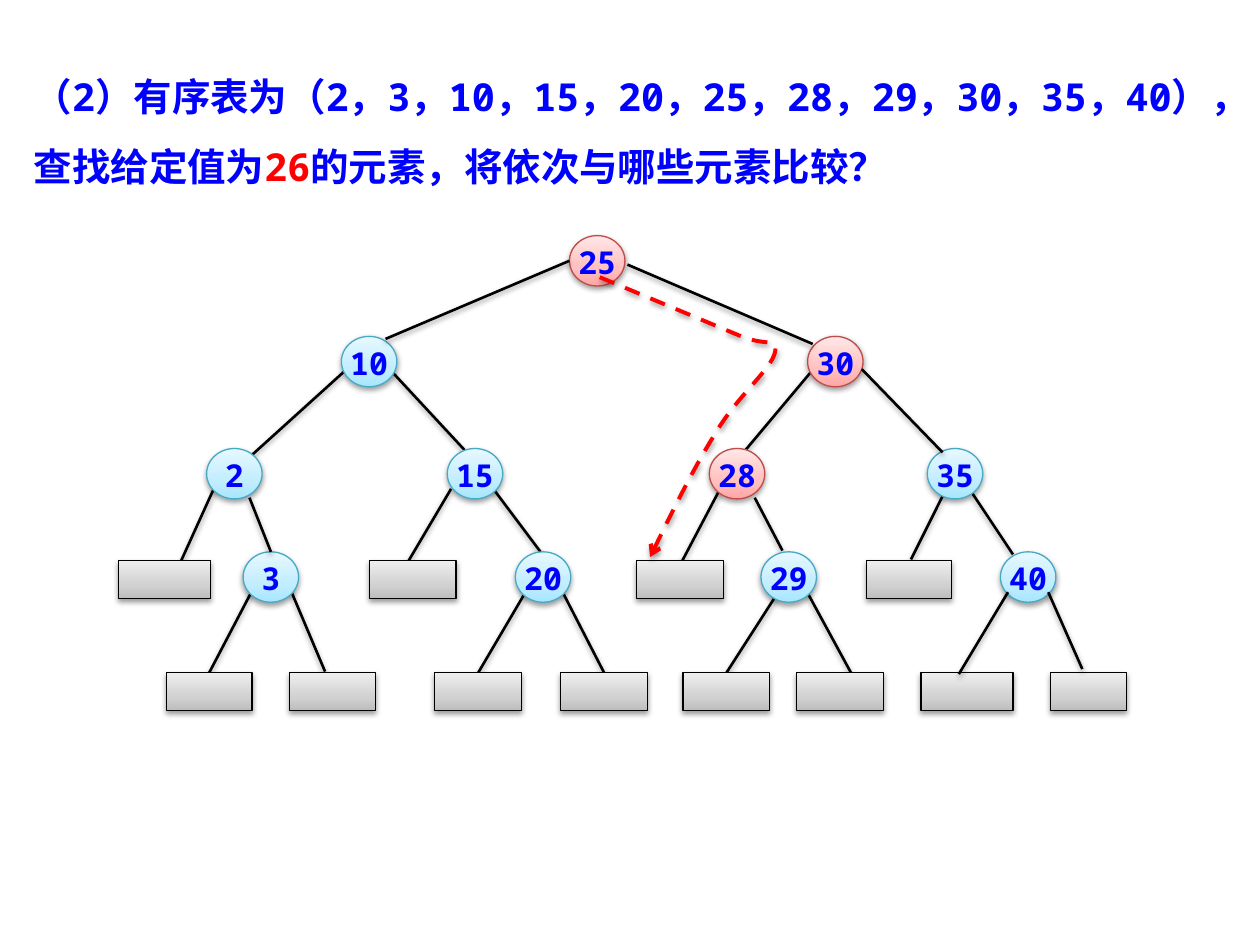
from copy import deepcopy
from dataclasses import dataclass
from typing import Optional

from lxml import etree
from pptx import Presentation, util as u
from pptx.dml.color import RGBColor
from pptx.enum import dml, shapes, text
from pptx.oxml.ns import qn

CELL = 0.1                                # grid pitch in inches: 100 x 75 cells
ROWS = (20.7, 28.7, 37.6, 45.8)           # centre line of each tree level
DISC_W, DISC_H, BOX_H = 4.4, 4, 3
FONT, BLUE, RED, BLACK = "Noto Sans Mono", "0000FF", "FF0000", "000000"
SKY = ("A7E6FF", "C1EDFF", "E7F8FF")
ROSE = ("FFA6A5", "FFC0BF", "FFE7E7")
GREY = ("BDBDBD", "D1D1D1", "EEEEEE")


@dataclass
class Node:
    key: int
    mid: float
    row: int
    hit: bool = False


@dataclass
class Box:
    left: float
    top: float
    wide: float = 6.9


@dataclass
class Edge:
    x1: float
    y1: float
    x2: float
    y2: float
    box: Optional[int] = None             # box whose top the edge joins
    front: bool = False


NODES = [
    Node(25, 47.4, 0, True), Node(10, 29.3, 1), Node(30, 66.3, 1, True),
    Node(2, 18.6, 2), Node(15, 37.7, 2), Node(28, 58.5, 2, True), Node(35, 75.8, 2),
    Node(3, 21.5, 3), Node(20, 43.1, 3), Node(29, 62.6, 3), Node(40, 81.6, 3),
]
BOXES = [
    Box(9.4, 44.5, 7.3), Box(29.3, 44.5), Box(50.5, 44.5), Box(68.8, 44.5, 6.7),
    Box(13.2, 53.4, 6.8), Box(23, 53.4, 6.8), Box(34.5, 53.4), Box(44.5, 53.4),
    Box(54.2, 53.4), Box(63.2, 53.4), Box(73.1, 53.4, 7.3), Box(83.4, 53.4, 6),
]
EDGES = [
    Edge(45.2, 20.7, 30.6, 26.9, front=True), Edge(49.8, 21, 64.5, 27.3, front=True),
    Edge(27.3, 29.5, 19.9, 36.2), Edge(31.2, 29.6, 37.6, 36.5),
    Edge(64.3, 29.6, 59.1, 35.8), Edge(68.4, 29.3, 74.8, 35.9, front=True),
    Edge(17.1, 38.5, 14.2, 44.9), Edge(19.8, 39.5, 21.5, 43.8, front=True),
    Edge(35.8, 38.8, 32.2, 44.9), Edge(39, 38.6, 42.9, 43.8),
    Edge(57.1, 38.9, 54.1, 44.6), Edge(59.9, 39.5, 62.1, 43.7),
    Edge(74.9, 39.2, 72.3, 44.4), Edge(77.2, 39.2, 80.4, 44),
    Edge(20, 46.9, 16.7, 53.3, box=4), Edge(23.1, 46.9, 25.8, 53.3),
    Edge(42, 46.5, 38.3, 53.9, box=6), Edge(44.5, 46.7, 48.1, 53.5, box=7),
    Edge(61.7, 47.1, 57.8, 53.9, box=8), Edge(63.9, 46.7, 67.6, 53.5),
    Edge(80, 47, 76.1, 53.5, front=True), Edge(83.2, 47, 85.9, 53.1, front=True),
]
# A straight step, then three curves of three points each
TRAIL = [(47.6, 22), (58.6, 26.6), (60.9, 27.6), (61.8, 26.7), (61.5, 28),
         (61.2, 29.3), (58.5, 31.5), (56.9, 34.2), (55.2, 36.9), (53.4, 40.5), (51.6, 44.2)]


def pos(*cells: float) -> list:
    return [u.Inches(c * CELL) for c in cells]


def tint(code: str) -> RGBColor:
    return RGBColor.from_string(code)


def put(para, words: str, size: float = 18, color: str = BLUE, bold: bool = True) -> None:
    run = para.add_run()
    run.text = words
    font = run.font
    font.name, font.size, font.bold = FONT, u.Pt(size), bold
    font.color.rgb = tint(color)


def shade(item) -> None:
    """Soft shadow straight below the item."""
    props = item._element.spPr
    for old in props.findall(qn("a:effectLst")):
        props.remove(old)
    glow = etree.SubElement(etree.SubElement(props, qn("a:effectLst")), qn("a:outerShdw"),
                            blurRad="40000", dist="20000", dir="5400000", rotWithShape="0")
    hue = etree.SubElement(glow, qn("a:srgbClr"), val=BLACK)
    etree.SubElement(hue, qn("a:alpha"), val="38000")


def stroke(item, color: str, width: float) -> None:
    item.line.color.rgb = tint(color)
    item.line.width = u.Pt(width)
    shade(item)


def solid(page, kind, area: tuple, tones: tuple, rim: str):
    """Preset shape with a three-stop fill, darkest at the bottom."""
    item = page.shapes.add_shape(kind, *pos(*area))
    item.fill.gradient()
    item.fill.gradient_angle = 90
    stops = item._element.spPr.find(".//" + qn("a:gsLst"))
    stops.append(deepcopy(stops[0]))
    for stop, tone, share in zip(item.fill.gradient_stops, tones, (0, 0.35, 1)):
        stop.color.rgb, stop.position = tint(tone), share
    stroke(item, rim, 0.75)
    return item


def disc(page, node: Node) -> None:
    tones, rim = (ROSE, "BF4C48") if node.hit else (SKY, "46AAC5")
    area = (node.mid - DISC_W / 2, ROWS[node.row] - DISC_H / 2, DISC_W, DISC_H)
    frame = solid(page, shapes.MSO_SHAPE.OVAL, area, tones, rim).text_frame
    frame.margin_left = frame.margin_right = frame.margin_top = frame.margin_bottom = 0
    frame.vertical_anchor = text.MSO_ANCHOR.TOP
    frame.word_wrap = False
    para = frame.paragraphs[0]
    para.alignment = text.PP_ALIGN.CENTER
    put(para, str(node.key))


def link(page, edge: Edge):
    ends = pos(edge.x1, edge.y1, edge.x2, edge.y2)
    line = page.shapes.add_connector(shapes.MSO_CONNECTOR.STRAIGHT, *ends)
    stroke(line, BLACK, 1.5)
    return line


def trail(page) -> None:
    """Dashed search path ending in an arrow."""
    spots = [tuple(pos(*spot)) for spot in TRAIL]
    pen = page.shapes.build_freeform(*spots[0])
    pen.add_line_segments(spots[1:], close=False)
    item = pen.convert_to_shape()
    item.fill.background()
    steps = list(item._element.iter(qn("a:lnTo")))
    for i in range(1, len(steps), 3):
        curve = etree.Element(qn("a:cubicBezTo"))
        steps[i].addprevious(curve)
        for step in steps[i:i + 3]:
            curve.append(step[0])
            step.getparent().remove(step)
    stroke(item, RED, 2.25)
    item.line.dash_style = dml.MSO_LINE.DASH
    etree.SubElement(item.line._get_or_add_ln(), qn("a:tailEnd"), type="arrow")


def ask(page) -> None:
    frame = page.shapes.add_textbox(*pos(1.7, 3.5, 95.7, 11.5)).text_frame
    frame.word_wrap = True
    frame.auto_size = text.MSO_AUTO_SIZE.SHAPE_TO_FIT_TEXT
    para = frame.paragraphs[0]
    para.line_spacing = 1.5
    put(para, "（2）有序表为（2，3，10，15，20，25，28，29，30，35，40），查找给定值为", size=22)
    put(para, "26", size=22, color=RED)
    put(para, "的元素，将依次与哪些元素比较？", size=22)


def main() -> None:
    deck = Presentation()
    deck.slide_width, deck.slide_height = pos(100, 75)
    page = deck.slides.add_slide(deck.slide_layouts[6])

    ask(page)
    # Tree: rear edges, discs, boxes, front edges
    rear = [(edge, link(page, edge)) for edge in EDGES if not edge.front]
    for node in NODES:
        disc(page, node)
    boxes = [solid(page, shapes.MSO_SHAPE.RECTANGLE, (b.left, b.top, b.wide, BOX_H), GREY, BLACK)
             for b in BOXES]
    for edge, line in rear:
        if edge.box is not None:
            line.end_connect(boxes[edge.box], 0)
    for edge in EDGES:
        if edge.front:
            link(page, edge)
    trail(page)
    deck.save("out.pptx")


if __name__ == "__main__":
    main()
